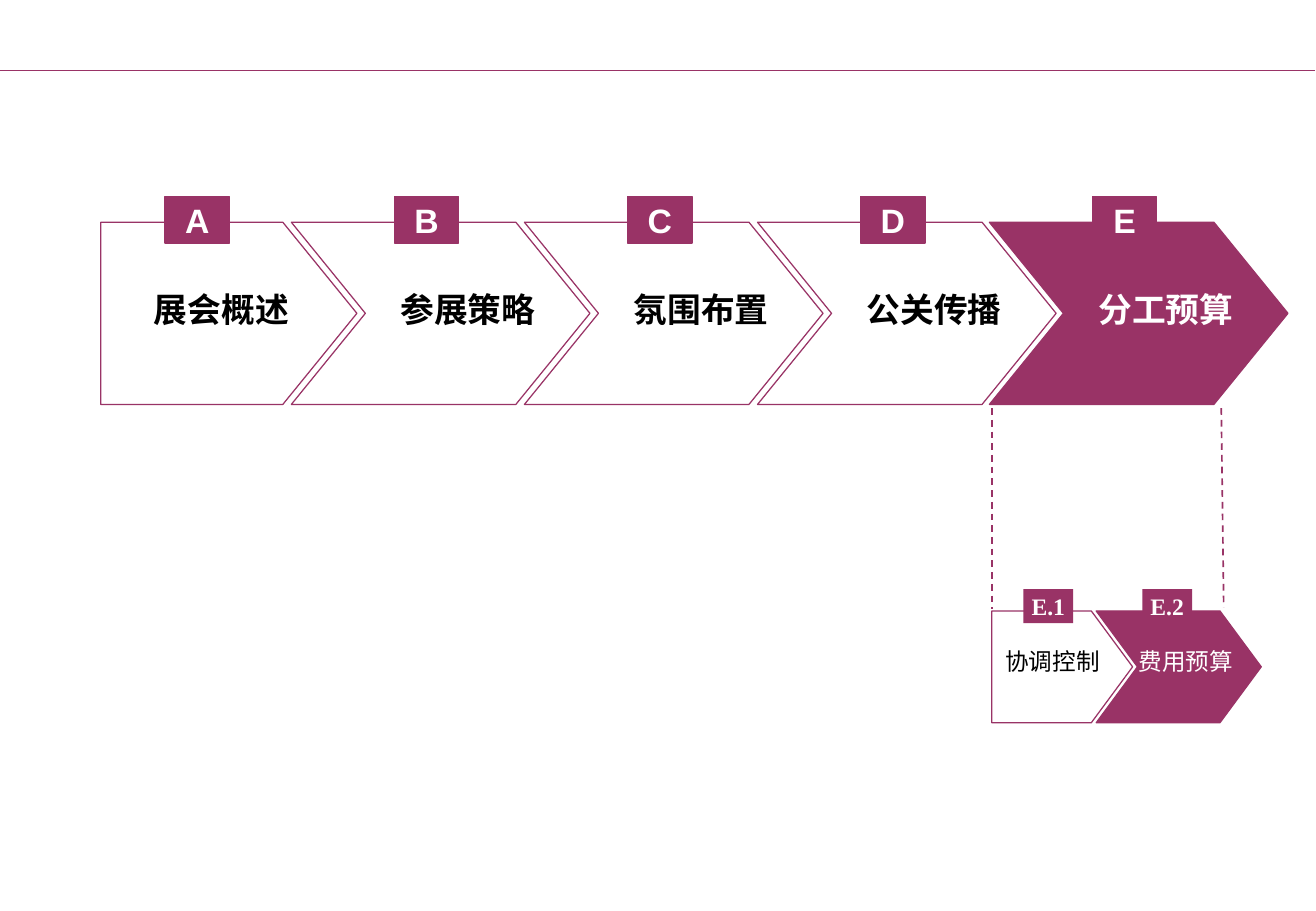
from dataclasses import dataclass

import pptx
import pptx.dml.color
import pptx.enum.dml
import pptx.enum.shapes
import pptx.enum.text
import pptx.oxml
import pptx.oxml.ns
import pptx.util

PX = 9144
COLORS = {"plum": "993366", "white": "FFFFFF", "black": "000000"}
CJK_FONT = "Noto Sans CJK SC"


@dataclass(frozen=True)
class Tier:
    top: int
    height: int
    tip: int
    badge_top: int
    badge_width: int
    badge_height: int
    badge_font: str
    badge_line: float
    label_top: int
    label_height: int
    label_font: str
    label_bold: bool
    inset_x: int
    inset_y: int
    size: int


@dataclass(frozen=True)
class Step:
    tier: Tier
    code: str
    label: str
    left: int
    width: int
    badge_left: int
    label_left: int
    label_width: int
    notched: bool = True
    active: bool = False


@dataclass(frozen=True)
class Rule:
    x1: int
    y1: int
    x2: int
    y2: int
    weight: float
    dashed: bool = False


MAIN = Tier(183, 150, 61, 162, 53, 38, "Arial", 0.75,
            233, 44, CJK_FONT, True, 10, 5, 20)
SUB = Tier(503, 92, 34, 485, 41, 28, "Times New Roman", 0,
           533, 23, "Times New Roman", False, 0, 0, 14)

CHEVRON_LEFT, CHEVRON_PITCH = 240, 191.75
CHEVRONS = [("B", "参展策略"), ("C", "氛围布置"), ("D", "公关传播"), ("E", "分工预算")]

STEPS = [Step(MAIN, "A", "展会概述", 83, 211, 136, 117, 136, notched=False)]
for i, (code, label) in enumerate(CHEVRONS):
    left = round(CHEVRON_LEFT + i * CHEVRON_PITCH)
    STEPS.append(Step(MAIN, code, label, left, 246, left + 85, left + 80, 160,
                      active=code == "E"))
STEPS += [
    Step(SUB, "E.1", "协调控制", 817, 116, 843, 828, 91, notched=False),
    Step(SUB, "E.2", "费用预算", 903, 136, 941, 938, 91, active=True),
]

RULES = [
    Rule(0, 58, 1083, 58, 0.75),
    Rule(817, 336, 817, 501, 1, dashed=True),
    Rule(1006, 336, 1008, 500, 1, dashed=True),
]


def rgb(name: str) -> pptx.dml.color.RGBColor:
    return pptx.dml.color.RGBColor.from_string(COLORS[name])


def paint(sp, fill: str, weight: float) -> None:
    sp.shadow.inherit = False
    sp.fill.solid()
    sp.fill.fore_color.rgb = rgb(fill)
    if weight:
        sp.line.color.rgb = rgb("plum")
        sp.line.width = pptx.util.Pt(weight)
    else:
        sp.line.fill.background()


def write(p, text: str, font: str, size: int, color: str, bold: bool) -> None:
    r = p.add_run()
    r.text = text
    r.font.name = font
    r.font.size = pptx.util.Pt(size)
    r.font.bold = bold
    r.font.color.rgb = rgb(color)
    ea = pptx.oxml.parse_xml(
        f'<a:ea {pptx.oxml.ns.nsdecls("a")} typeface="{CJK_FONT}"/>')
    r.font._element.find(pptx.oxml.ns.qn("a:latin")).addnext(ea)


def set_insets(tf, x: int, y: int) -> None:
    tf.margin_left = tf.margin_right = x * PX
    tf.margin_top = tf.margin_bottom = y * PX


def draw_arrow(s, step: Step) -> None:
    t = step.tier
    right, bottom = step.left + step.width, t.top + t.height
    middle = t.top + t.height // 2
    points = [(right - t.tip, t.top), (right, middle),
              (right - t.tip, bottom), (step.left, bottom)]
    if step.notched:
        points.append((step.left + t.tip, middle))
    outline = s.shapes.build_freeform(step.left, t.top, scale=PX)
    outline.add_line_segments(points, close=True)
    paint(outline.convert_to_shape(), "plum" if step.active else "white", 0.75)


def draw_label(s, step: Step) -> None:
    t = step.tier
    sp = s.shapes.add_textbox(step.label_left * PX, t.label_top * PX,
                              step.label_width * PX, t.label_height * PX)
    tf = sp.text_frame
    tf.word_wrap = True
    tf.auto_size = pptx.enum.text.MSO_AUTO_SIZE.SHAPE_TO_FIT_TEXT
    set_insets(tf, t.inset_x, t.inset_y)
    write(tf.paragraphs[0], step.label, t.label_font, t.size,
          "white" if step.active else "black", t.label_bold)


def draw_badge(s, step: Step) -> None:
    t = step.tier
    sp = s.shapes.add_shape(pptx.enum.shapes.MSO_SHAPE.RECTANGLE,
                            step.badge_left * PX, t.badge_top * PX,
                            t.badge_width * PX, t.badge_height * PX)
    paint(sp, "plum", t.badge_line)
    tf = sp.text_frame
    tf.word_wrap = False
    tf.vertical_anchor = pptx.enum.text.MSO_ANCHOR.MIDDLE
    set_insets(tf, 0, 0)
    p = tf.paragraphs[0]
    p.alignment = pptx.enum.text.PP_ALIGN.CENTER
    write(p, step.code, t.badge_font, t.size, "white", True)


def draw_rule(s, rule: Rule) -> None:
    line = s.shapes.add_connector(pptx.enum.shapes.MSO_CONNECTOR.STRAIGHT,
                                  rule.x1 * PX, rule.y1 * PX,
                                  rule.x2 * PX, rule.y2 * PX)
    line.line.color.rgb = rgb("plum")
    line.line.width = pptx.util.Pt(rule.weight)
    if rule.dashed:
        line.line.dash_style = pptx.enum.dml.MSO_LINE.DASH
    line._element.spPr.append(pptx.oxml.parse_xml(
        f'<a:effectLst {pptx.oxml.ns.nsdecls("a")}/>'))


def main() -> None:
    prs = pptx.Presentation()
    prs.slide_width, prs.slide_height = 1084 * PX, 750 * PX
    s = prs.slides.add_slide(prs.slide_layouts[6])
    for rule in RULES:
        draw_rule(s, rule)
    for step in STEPS:
        draw_arrow(s, step)
        draw_label(s, step)
        draw_badge(s, step)
    prs.save("out.pptx")


if __name__ == "__main__":
    main()
